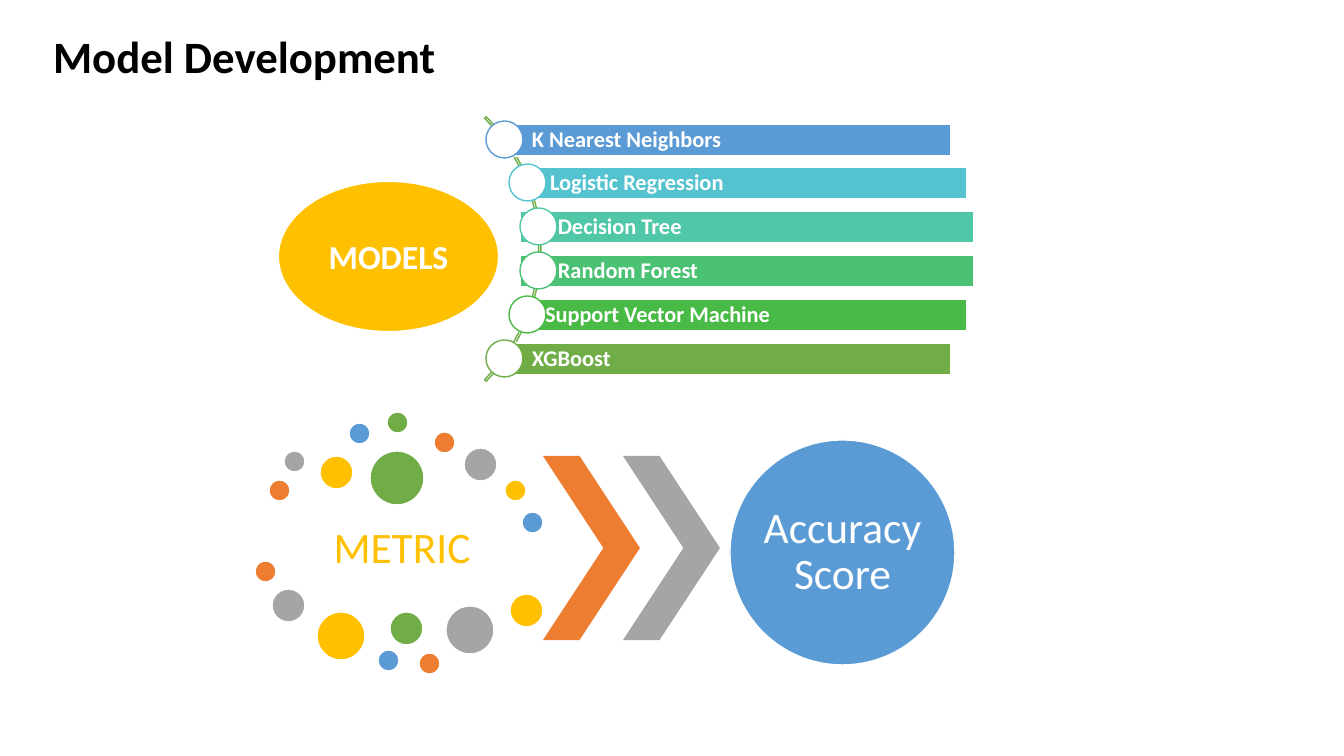
from itertools import cycle

from pptx import Presentation
from pptx.dml.color import RGBColor
from pptx.enum.shapes import MSO_SHAPE
from pptx.enum.text import MSO_ANCHOR, MSO_AUTO_SIZE, PP_ALIGN
from pptx.util import Emu, Pt

OVAL, RECT = MSO_SHAPE.OVAL, MSO_SHAPE.RECTANGLE
ARC, CHEVRON = MSO_SHAPE.BLOCK_ARC, MSO_SHAPE.CHEVRON
LEFT, CENTER = PP_ALIGN.LEFT, PP_ALIGN.CENTER
MIDDLE = MSO_ANCHOR.MIDDLE
NO_FIT = MSO_AUTO_SIZE.NONE

BLACK = RGBColor(0, 0, 0)
WHITE = RGBColor(255, 255, 255)
BLUE = RGBColor(0x5B, 0x9B, 0xD5)
CYAN = RGBColor(0x55, 0xC3, 0xCF)
TEAL = RGBColor(0x50, 0xC8, 0xA7)
MINT = RGBColor(0x4B, 0xC1, 0x74)
LIME = RGBColor(0x4A, 0xBA, 0x46)
GREEN = RGBColor(0x70, 0xAD, 0x47)
GOLD = RGBColor(0xFF, 0xC0, 0x00)
ORANGE = RGBColor(0xED, 0x7D, 0x31)
GRAY = RGBColor(0xA5, 0xA5, 0xA5)

FONT = "Calibri"
SCALE = 914400 / 100.8

# (name, colour, text inset)
MODELS = [
    ("K Nearest Neighbors", BLUE, 23),
    ("Logistic Regression", CYAN, 33),
    ("Decision Tree", TEAL, 38),
    ("Random Forest", MINT, 38),
    ("Support Vector Machine", LIME, 28),
    ("XGBoost", GREEN, 23),
]
# (dot left, bar left, bar width), from the outer rows to the inner ones
CURVE = [(0, 23, 442), (23, 31, 450), (34, 34, 454)]
DOTS = [
    (14, 68, 21), (29, 39, 21), (65, 44, 33), (94, 11, 21), (132, 0, 21),
    (179, 20, 21), (209, 36, 33), (250, 68, 21), (267, 100, 21),
    (115, 39, 54), (0, 149, 21), (17, 177, 33), (62, 200, 48),
    (123, 238, 21), (135, 200, 33), (164, 241, 21), (191, 194, 48),
    (255, 182, 33),
]


def px(n):
    """Turn pixels into EMU."""
    return Emu(round(n * SCALE))


def draw(slide, kind, box, fill=None, line=None, width=1):
    """Add a flat preset shape."""
    shape = slide.shapes.add_shape(kind, *map(px, box))
    shape.shadow.inherit = False
    if fill is None:
        shape.fill.background()
    else:
        shape.fill.solid()
        shape.fill.fore_color.rgb = fill
    if line is None:
        shape.line.fill.background()
    else:
        shape.line.color.rgb = line
        shape.line.width = Pt(width)
    return shape


def write(shape, text, size, color, bold=False, align=CENTER,
          pads=(0, 0, 0, 0), space=0.9):
    """Fill a shape with one styled run."""
    frame = shape.text_frame
    frame.word_wrap = True
    frame.auto_size = NO_FIT
    frame.vertical_anchor = MIDDLE
    (frame.margin_left, frame.margin_top,
     frame.margin_right, frame.margin_bottom) = map(px, pads)
    para = frame.paragraphs[0]
    para.alignment = align
    para.line_spacing = space
    run = para.add_run()
    run.text = text
    font = run.font
    font.name, font.size, font.bold = FONT, Pt(size), bold
    font.color.rgb = color


def add_title(slide, box):
    """Place the title placeholder."""
    title = slide.shapes.title
    title.left, title.top, title.width, title.height = map(px, box)
    write(title, "Model Development", 32, BLACK, True, LEFT, (10, 5, 10, 5))


def add_models(slide, box):
    """Draw the curved list of models and its oval label."""
    left, top, _, high = box
    arc = draw(slide, ARC, (left - 319, top - 62, 374, 374), line=GREEN)
    for i, value in enumerate((189, 27, 0.006)):
        arc.adjustments[i] = value
    bar, dot = 32, 37
    last = len(MODELS) - 1
    for i, (name, color, inset) in enumerate(MODELS):
        y = top + i * (high - bar) // last
        dx, bx, wide = CURVE[min(i, last - i)]
        row = draw(slide, RECT, (left + bx, y, wide, bar), color, WHITE)
        write(row, name, 16, WHITE, True, LEFT, (inset, 4, 4, 4))
        draw(slide, OVAL, (left + dx, y - 3, dot, dot), WHITE, color)
    label = draw(slide, OVAL, (left - 208, top + 57, 221, 151),
                 GOLD, WHITE, 1.5)
    write(label, "MODELS", 24, WHITE, True, space=1)


def add_metric(slide, box):
    """Draw the dotted ring, the chevrons and the score circle."""
    left, top, wide, _ = box
    label = slide.shapes.add_textbox(
        *map(px, (left + 15, top + 94, 264, 87)))
    write(label, "METRIC", 31, GOLD, pads=(4, 4, 4, 4))
    hues = cycle((ORANGE, GRAY, GOLD, BLUE, GREEN))
    for (x, y, size), hue in zip(DOTS, hues):
        draw(slide, OVAL, (left + x, top + y, size, size), hue, WHITE)
    for i, hue in enumerate((ORANGE, GRAY)):
        arrow = draw(slide, CHEVRON,
                     (left + 288 + 80 * i, top + 44, 97, 184), hue)
        arrow.adjustments[0] = 0.623
    size = 225
    score = draw(slide, OVAL, (left + wide - size, top + 28, size, size),
                 BLUE, WHITE)
    write(score, "Accuracy Score", 31, WHITE)


def main():
    """Build and save the slide."""
    deck = Presentation()
    deck.slide_width, deck.slide_height = px(1344), px(756)
    slide = deck.slides.add_slide(deck.slide_layouts[5])
    add_title(slide, (43, 30, 501, 58))
    add_models(slide, (486, 124, 488, 251))
    add_metric(slide, (255, 412, 700, 262))
    deck.save("out.pptx")


if __name__ == "__main__":
    main()
